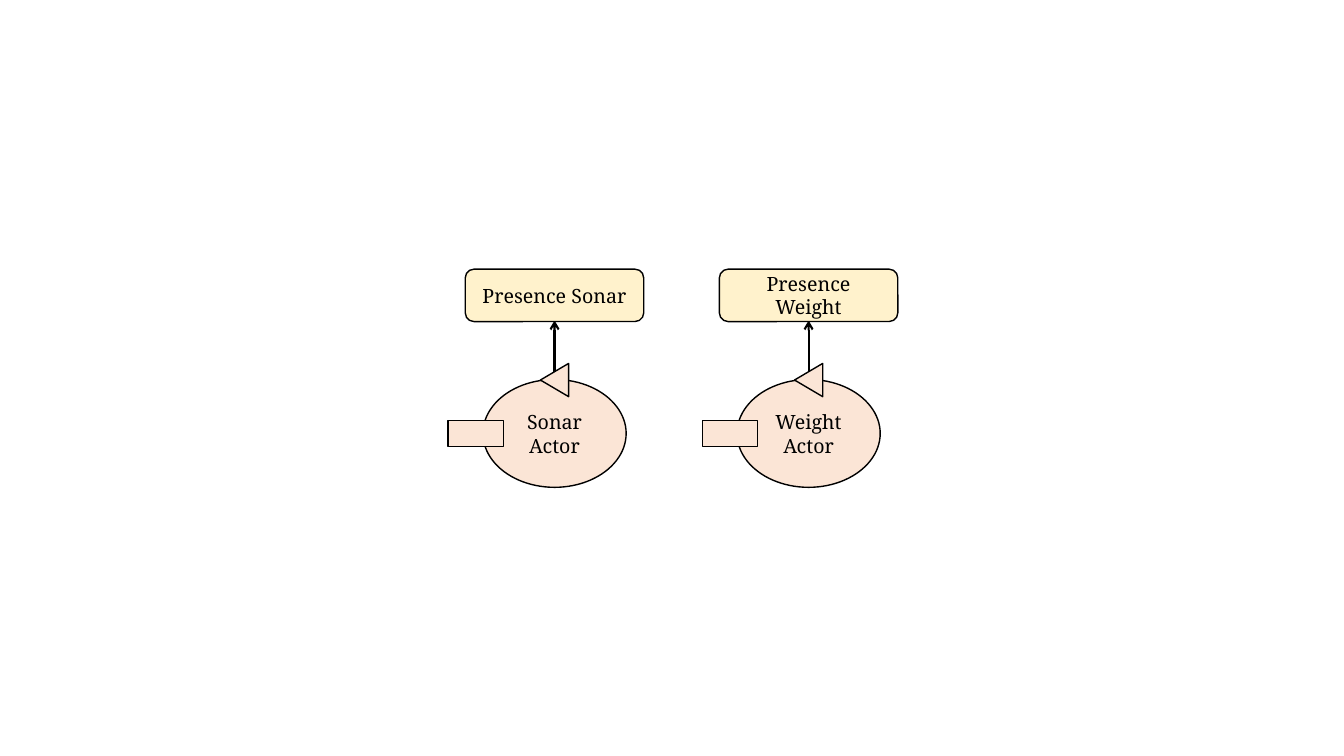
import pptx
import pptx.util
import pptx.dml.color
import pptx.enum.dml
import pptx.enum.shapes
import pptx.enum.text
import pptx.oxml.ns
from lxml import etree

RGB = pptx.dml.color.RGBColor.from_string
SHAPE = pptx.enum.shapes.MSO_SHAPE
Inches = pptx.util.Inches

THEME = {
    "actor": RGB("FBE5D6"),
    "presence": RGB("FFF2CC"),
    "ink": RGB("000000"),
    "font": "Noto Serif",
    "size": pptx.util.Pt(14),
    "outline": pptx.util.Pt(1),
    "arrow": pptx.util.Pt(1.5),
}

# Column centres and row centres of the diagram, in inches
FIRST_COLUMN, COLUMN_PITCH = 5.5, 2.52
PRESENCE_ROW, PORT_ROW, ACTOR_ROW = 2.93, 3.77, 4.3
ARROW_START, ARROW_END = 3.69, 3.18
MAILBOX_OFFSET = -0.78

prs = pptx.Presentation()
prs.slide_width, prs.slide_height = Inches(13.33), Inches(7.5)
s = prs.slides.add_slide(prs.slide_layouts[6])


def add_node(kind, x, y, width, height, fill, text=""):
    """Add an outlined shape centred on (x, y)."""
    sp = s.shapes.add_shape(kind, Inches(x - width / 2), Inches(y - height / 2),
                            Inches(width), Inches(height))
    sp.shadow.inherit = False
    sp.fill.solid()
    sp.fill.fore_color.rgb = THEME[fill]
    sp.line.color.rgb = THEME["ink"]
    sp.line.width = THEME["outline"]
    if text:
        tf = sp.text_frame
        tf.word_wrap = True
        tf.vertical_anchor = pptx.enum.text.MSO_ANCHOR.MIDDLE
        tf.text = text
        for p in tf.paragraphs:
            p.alignment = pptx.enum.text.PP_ALIGN.CENTER
            p.font.name = THEME["font"]
            p.font.size = THEME["size"]
            p.font.color.rgb = THEME["ink"]
    return sp


def add_arrow(x, start, end):
    line = s.shapes.add_connector(pptx.enum.shapes.MSO_CONNECTOR.STRAIGHT,
                                  Inches(x), Inches(start), Inches(x), Inches(end))
    line.line.color.rgb = THEME["ink"]
    line.line.width = THEME["arrow"]
    qn = pptx.oxml.ns.qn
    ln = line.line._get_or_add_ln()
    etree.SubElement(ln, qn("a:tailEnd"), type="arrow")
    etree.SubElement(ln.getparent(), qn("a:effectLst"))


for column, sensor in enumerate(["Sonar", "Weight"]):
    x = FIRST_COLUMN + column * COLUMN_PITCH
    add_node(SHAPE.OVAL, x, ACTOR_ROW, 1.42, 1.07, "actor", f"{sensor}\nActor")
    port = add_node(SHAPE.ISOSCELES_TRIANGLE, x, PORT_ROW, 0.33, 0.28, "actor")
    port.rotation = 270
    add_node(SHAPE.RECTANGLE, x + MAILBOX_OFFSET, ACTOR_ROW, 0.55, 0.26, "actor")
    add_arrow(x, ARROW_START, ARROW_END)
    add_node(SHAPE.ROUNDED_RECTANGLE, x, PRESENCE_ROW, 1.77, 0.52, "presence",
             f"Presence {sensor}")

prs.save("out.pptx")
